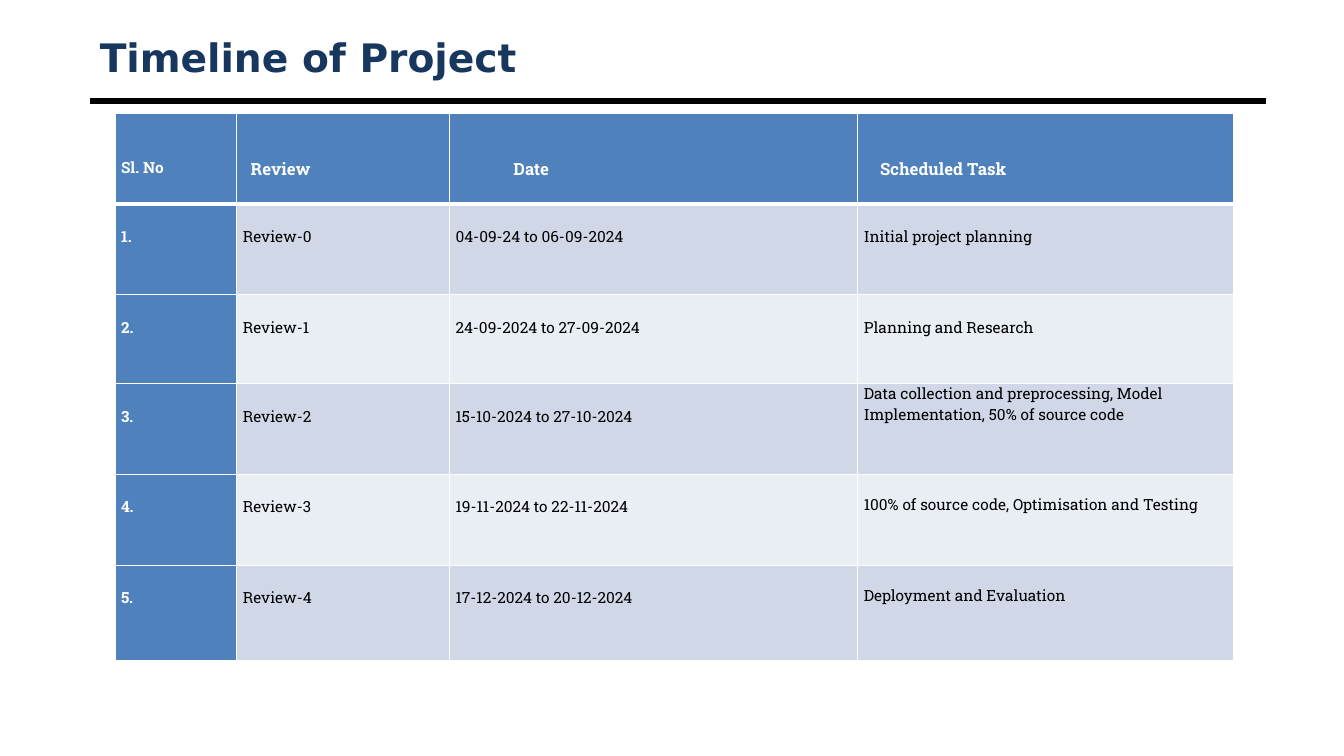
"""Build the project timeline slide with its review schedule table."""
from dataclasses import dataclass

from lxml import etree
from pptx import Presentation
from pptx.dml.color import RGBColor
from pptx.enum.shapes import MSO_CONNECTOR
from pptx.enum.text import MSO_ANCHOR, MSO_AUTO_SIZE, PP_ALIGN
from pptx.oxml.ns import qn
from pptx.slide import Slide
from pptx.table import Table, _Cell
from pptx.util import Cm, Pt

STRAIGHT = MSO_CONNECTOR.STRAIGHT
TOP, MIDDLE = MSO_ANCHOR.TOP, MSO_ANCHOR.MIDDLE
NO_AUTOFIT = MSO_AUTO_SIZE.NONE
LEFT = PP_ALIGN.LEFT

COLORS = {
    "title": "17375E",
    "rule": "000000",
    "header": "4F81BD",
    "odd_row": "D0D8E8",
    "even_row": "E9EDF4",
    "light": "FFFFFF",
    "dark": "000000",
}
TITLE_FONT, TABLE_FONT = "DejaVu Sans", "Roboto Slab"
COLUMN_WIDTHS = (3.07, 5.36, 10.29, 9.47)
ROW_HEIGHTS = (2.29, 2.29, 2.24, 2.29, 2.29, 2.39)
SIDE_MARGIN, HEADER_DROP, BODY_DROP = 0.15, 1.12, 0.56


@dataclass
class Heading:
    """A column heading with its indent in centimetres."""

    label: str
    indent: float = 0
    size: float = 12


@dataclass
class Review:
    """A scheduled review with the space above its task in centimetres."""

    dates: str
    task: str
    task_drop: float = BODY_DROP


HEADINGS = (
    Heading("Sl. No", size=11),
    Heading("Review", 0.2),
    Heading("Date", 1.46),
    Heading("Scheduled Task", 0.41),
)
REVIEWS = (
    Review("04-09-24 to 06-09-2024", "Initial project planning"),
    Review("24-09-2024 to 27-09-2024", "Planning and Research"),
    Review(
        "15-10-2024 to 27-10-2024",
        "Data collection and preprocessing, Model Implementation, 50% of source code",
        0,
    ),
    Review("19-11-2024 to 22-11-2024", "100% of source code, Optimisation and Testing", 0.51),
    Review("17-12-2024 to 20-12-2024", "Deployment and Evaluation", 0.51),
)


def rgb(role: str) -> RGBColor:
    """Return the colour of a role."""
    return RGBColor.from_string(COLORS[role])


def draw_borders(cell: _Cell, top: float, bottom: float) -> None:
    """Give a cell light borders, with widths in points."""
    properties = cell._tc.get_or_add_tcPr()
    for side, width in (("L", 1), ("R", 1), ("T", top), ("B", bottom)):
        border = etree.SubElement(properties, qn(f"a:ln{side}"), w=str(Pt(width)))
        fill = etree.SubElement(border, qn("a:solidFill"))
        etree.SubElement(fill, qn("a:srgbClr"), val=COLORS["light"])


def fill_cell(
    cell: _Cell, text: str, fill: str, strong: bool, drop: float,
    indent: float = 0, size: float = 11,
) -> None:
    """Write and format one table cell."""
    cell.fill.solid()
    cell.fill.fore_color.rgb = rgb(fill)
    cell.vertical_anchor = TOP
    cell.margin_left = Cm(SIDE_MARGIN + indent)
    cell.margin_right = Cm(SIDE_MARGIN)
    cell.margin_top, cell.margin_bottom = Cm(drop), 0
    cell.text_frame.text = text
    font = cell.text_frame.paragraphs[0].runs[0].font
    font.name, font.size, font.bold = TABLE_FONT, Pt(size), strong
    font.color.rgb = rgb("light" if strong else "dark")


def fill_header(table: Table) -> None:
    """Write the row of column headings."""
    for column, heading in enumerate(HEADINGS):
        cell = table.cell(0, column)
        draw_borders(cell, 1, 3)
        fill_cell(cell, heading.label, "header", True, HEADER_DROP, heading.indent, heading.size)


def fill_review(table: Table, number: int, review: Review) -> None:
    """Write the row of one review."""
    band = "odd_row" if number % 2 else "even_row"
    texts = (f"{number}.", f"Review-{number - 1}", review.dates, review.task)
    for column, text in enumerate(texts):
        cell = table.cell(number, column)
        is_number, is_task = column == 0, column == len(texts) - 1
        draw_borders(cell, 3 if number == 1 else 1, 1)
        fill_cell(
            cell, text, "header" if is_number else band, is_number,
            review.task_drop if is_task else BODY_DROP,
        )


def add_schedule(slide: Slide) -> None:
    """Add the review schedule table."""
    table = slide.shapes.add_table(
        len(ROW_HEIGHTS), len(COLUMN_WIDTHS), Cm(2.9), Cm(2.85),
        Cm(sum(COLUMN_WIDTHS)), Cm(sum(ROW_HEIGHTS)),
    ).table
    for column, width in zip(table.columns, COLUMN_WIDTHS):
        column.width = Cm(width)
    for row, height in zip(table.rows, ROW_HEIGHTS):
        row.height = Cm(height)
    table.first_col = True
    fill_header(table)
    for number, review in enumerate(REVIEWS, start=1):
        fill_review(table, number, review)


def add_title(slide: Slide) -> None:
    """Write the title in its placeholder."""
    title = slide.shapes.title
    title.left, title.top, title.width, title.height = Cm(2.26), Cm(0.76), Cm(29.64), Cm(1.35)
    frame = title.text_frame
    frame.text = "Timeline of Project"
    frame.auto_size, frame.vertical_anchor = NO_AUTOFIT, MIDDLE
    paragraph = frame.paragraphs[0]
    paragraph.alignment = LEFT
    font = paragraph.runs[0].font
    font.name, font.size, font.bold = TITLE_FONT, Pt(28), True
    font.color.rgb = rgb("title")


def add_rule(slide: Slide) -> None:
    """Draw the rule under the title."""
    rule = slide.shapes.add_connector(STRAIGHT, Cm(2.26), Cm(2.54), Cm(31.9), Cm(2.54))
    rule.line.color.rgb = rgb("rule")
    rule.line.width = Pt(4.5)
    etree.SubElement(rule._element.spPr, qn("a:effectLst"))


def main() -> None:
    """Build and save the presentation."""
    presentation = Presentation()
    presentation.slide_width, presentation.slide_height = Cm(33.87), Cm(19.05)
    slide = presentation.slides.add_slide(presentation.slide_layouts[5])
    add_title(slide)
    add_rule(slide)
    add_schedule(slide)
    presentation.save("out.pptx")


if __name__ == "__main__":
    main()
